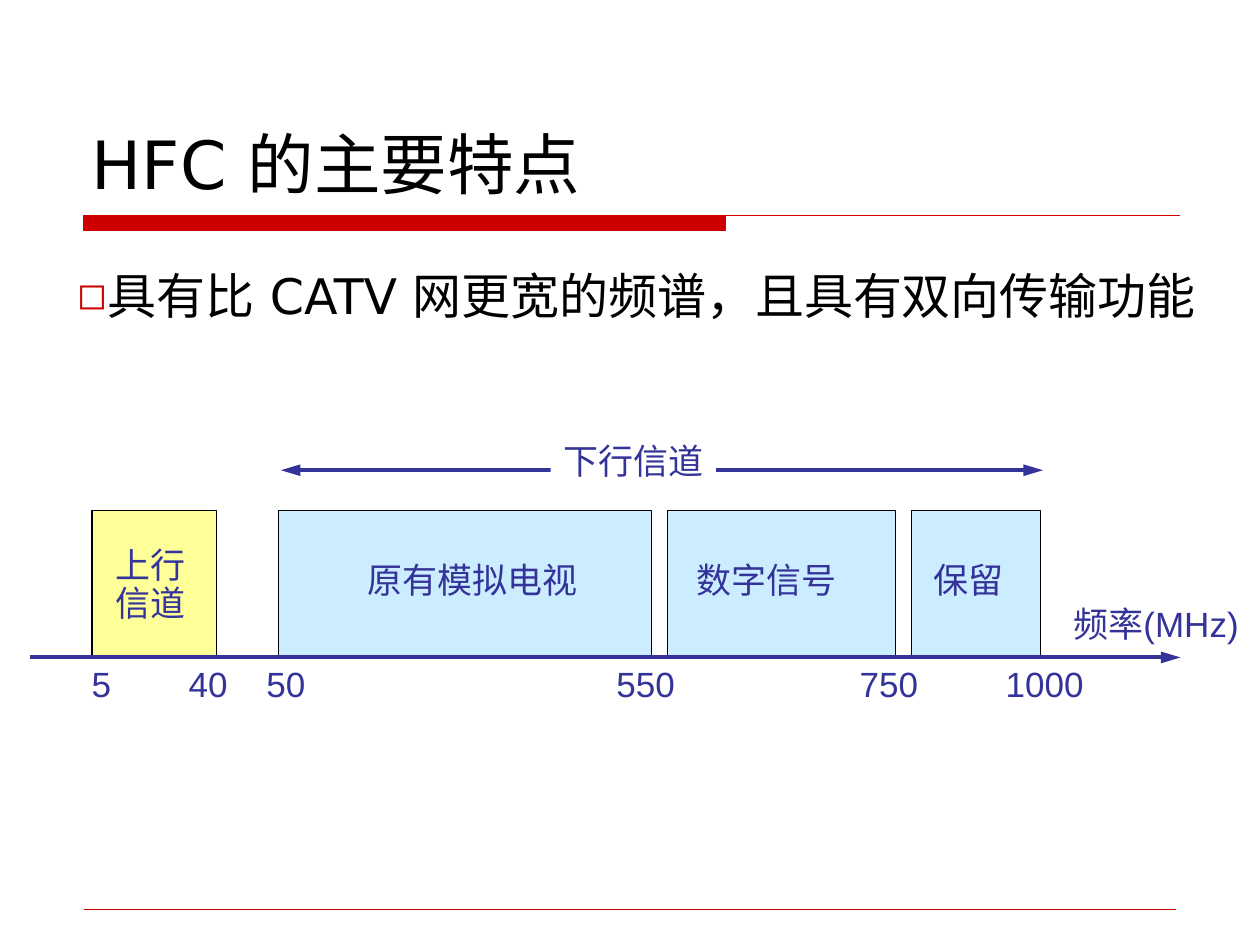
from pptx import Presentation
from pptx.util import Pt
from pptx.dml.color import RGBColor as RGB
from pptx.enum.dml import MSO_LINE as Dash
from pptx.enum.shapes import MSO_SHAPE as Shape, MSO_CONNECTOR as Conn
from pptx.enum.text import MSO_ANCHOR as Anchor, PP_ALIGN as Align
from pptx.oxml.ns import qn
from lxml.etree import SubElement as Sub

RED = RGB(0xCC, 0x00, 0x00)
BLUE = RGB(0x33, 0x33, 0x99)
SKY = RGB(0xCC, 0xEC, 0xFF)
YELLOW = RGB(0xFF, 0xFF, 0x99)
BLACK = RGB(0, 0, 0)
WHITE = RGB(0xFF, 0xFF, 0xFF)

prs = Presentation()
prs.slide_width, prs.slide_height = Pt(720), Pt(540)
slide = prs.slides.add_slide(prs.slide_layouts[6])
shapes = slide.shapes


def text(words, left, top, width, height, size=20, font="Arial", color=BLUE,
         align=Align.LEFT, anchor=Anchor.TOP, wrap=False, space=1.0,
         fill=None, bullet=None):
    box = shapes.add_textbox(Pt(left), Pt(top), Pt(width), Pt(height))
    if fill is not None:
        box.fill.solid()
        box.fill.fore_color.rgb = fill
    frame = box.text_frame
    frame.word_wrap = wrap
    frame.vertical_anchor = anchor
    frame.text = words
    for para in frame.paragraphs:
        para.alignment = align
        para.line_spacing = space
        if bullet:
            props = para._p.get_or_add_pPr()
            props.set("marL", str(Pt(17.5)))
            props.set("indent", str(-Pt(17.5)))
            Sub(Sub(props, qn("a:buClr")), qn("a:srgbClr")).set("val", str(RED))
            Sub(props, qn("a:buSzPct")).set("val", "75000")
            Sub(props, qn("a:buFont")).set("typeface", font)
            Sub(props, qn("a:buChar")).set("char", bullet)
        for run in para.runs:
            run.font.size = Pt(size)
            run.font.name = font
            run.font.color.rgb = color
            ea = Sub(run._r.get_or_add_rPr(), qn("a:ea"))
            ea.set("typeface", font)


def line(start, end, y, color, weight, *arrows):
    link = shapes.add_connector(Conn.STRAIGHT, Pt(start), Pt(y), Pt(end), Pt(y))
    link.line.color.rgb = color
    link.line.width = Pt(weight)
    link.line.dash_style = Dash.SOLID
    stroke = link._element.spPr.find(qn("a:ln"))
    Sub(stroke, qn("a:round"))
    for side in arrows:
        tip = Sub(stroke, qn("a:" + side))
        tip.set("type", "triangle")
        tip.set("w", "med")
        tip.set("len", "lg")
    Sub(link._element.spPr, qn("a:effectLst"))


# Title rule: thick bar with a thin line running on to the right
path = shapes.build_freeform(Pt(48), Pt(123.2))
path.add_line_segments([(Pt(414.5), Pt(123.2)), (Pt(414.5), Pt(131.7)),
                        (Pt(48), Pt(131.7))], close=True)
path.move_to(Pt(48), Pt(123.2))
path.add_line_segments([(Pt(674.5), Pt(123.2))], close=False)
rule = path.convert_to_shape()
rule.shadow.inherit = False
rule.fill.solid()
rule.fill.fore_color.rgb = RED
rule.line.color.rgb = RED
rule.line.width = Pt(0.75)

# Footer rule
line(48, 672, 519.7, RED, 0.25)

# Title and bullet
text("HFC 的主要特点", 45.4, 64.8, 630, 54.7, size=38, font="DejaVu Sans",
     color=BLACK, anchor=Anchor.BOTTOM, wrap=True)
text("具有比 CATV 网更宽的频谱，且具有双向传输功能", 36.9, 133.9, 683, 54.7,
     size=28, font="DejaVu Sans", color=BLACK, anchor=Anchor.BOTTOM,
     wrap=True, bullet="◻")

# Downstream span
line(160.5, 596, 268.7, BLUE, 2.25, "headEnd", "tailEnd")
text("下行信道", 314.7, 247.7, 94.4, 31.5, fill=WHITE)

# Bands: left, width, fill, label, label left, top, width, height, spacing
bands = [
    (52.6, 71.3, YELLOW, "上行\n信道", 59, 309.6, 64, 50.4, 0.9),
    (159.1, 213.2, SKY, "原有模拟电视", 203, 315.4, 144, 31.5, 1),
    (381.4, 130.3, SKY, "数字信号", 391, 315.4, 104, 31.5, 1),
    (521, 73.5, SKY, "保留", 526.3, 315.4, 64, 31.5, 1),
]
for left, width, color, label, x, y, wide, high, space in bands:
    band = shapes.add_shape(Shape.RECTANGLE, Pt(left), Pt(291.8), Pt(width), Pt(83.5))
    band.shadow.inherit = False
    band.fill.solid()
    band.fill.fore_color.rgb = color
    band.line.color.rgb = BLACK
    band.line.width = Pt(0.75)
    text(label, x, y, wide, high, space=space, wrap=True)

# Frequency axis
line(17.3, 674.6, 375.7, BLUE, 2.25, "tailEnd")
text("频率(MHz)", 606.2, 340.6, 113.8, 31.5)
ticks = {"5": 57.9, "40": 119, "50": 163.4, "550": 369, "750": 508, "1000": 597}
for mark, mid in ticks.items():
    text(mark, mid - 32, 375.1, 64, 31.5, align=Align.CENTER)

prs.save("out.pptx")
